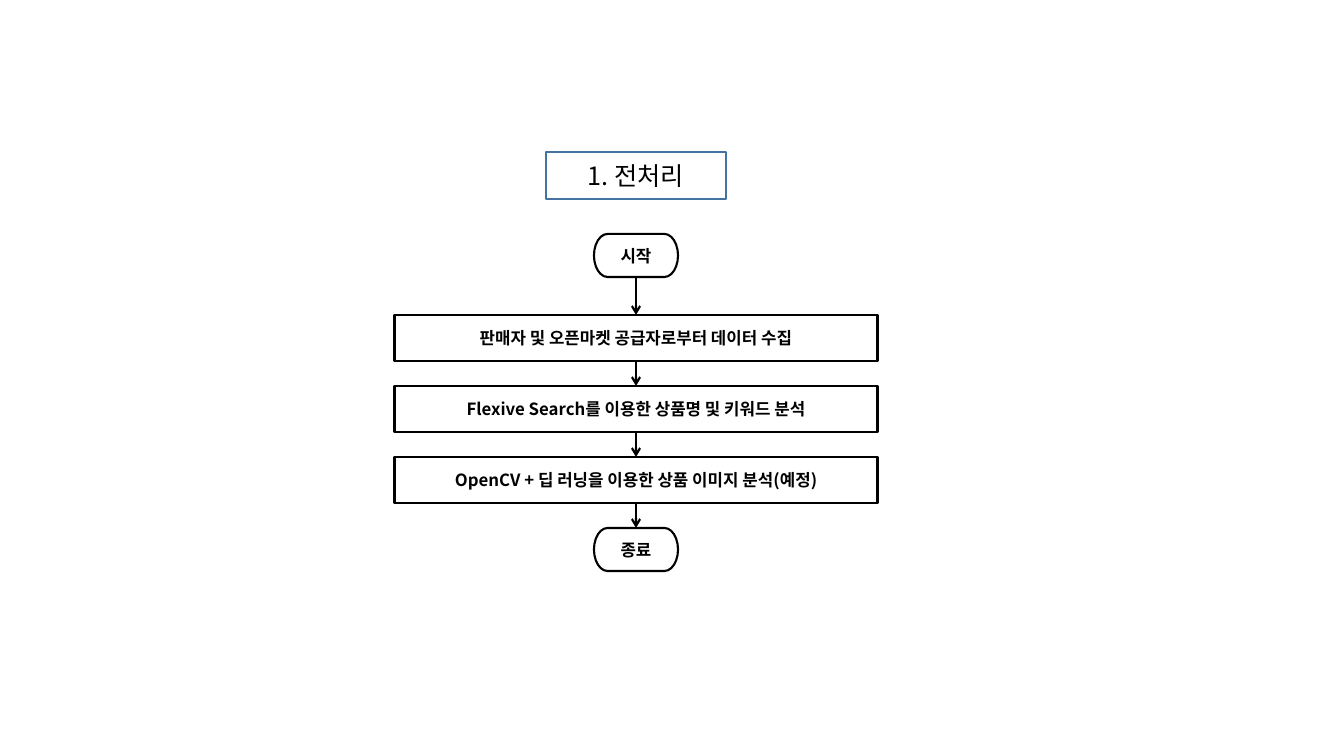
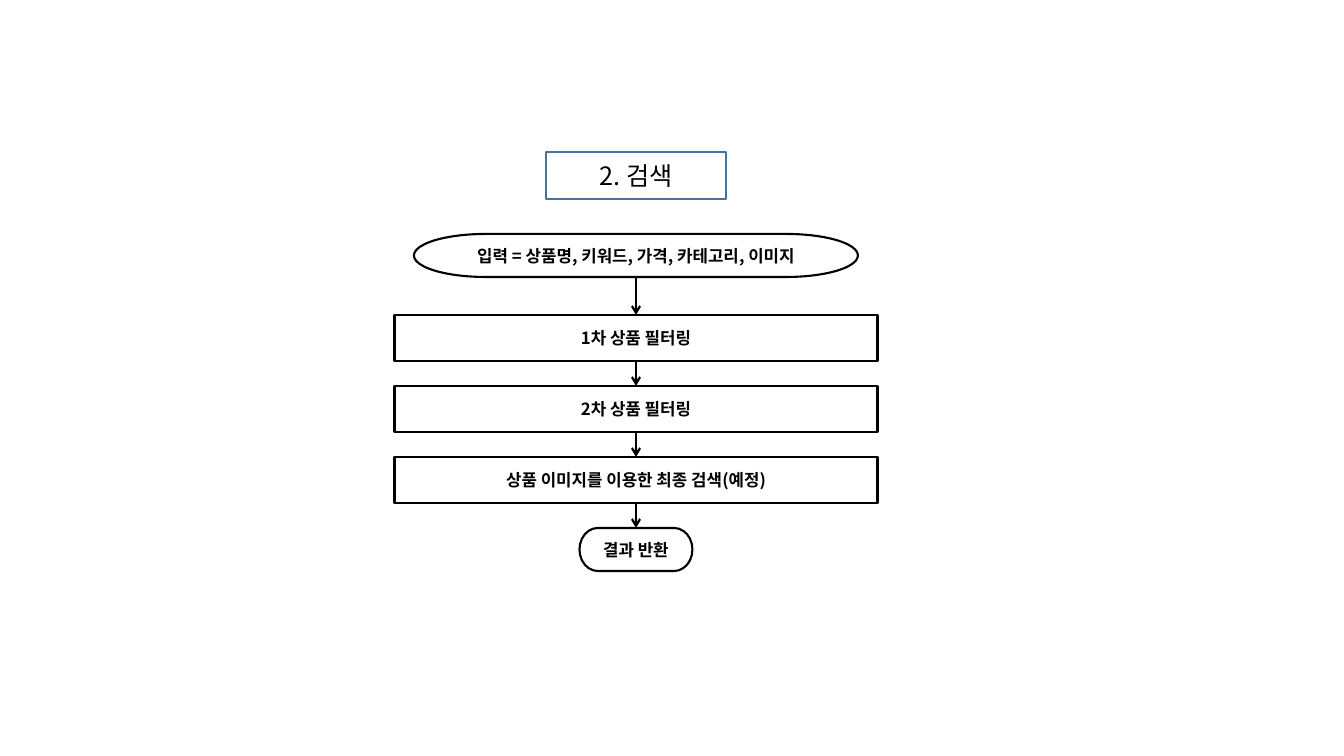
from itertools import pairwise

from lxml.etree import SubElement
from pptx import Presentation
from pptx.dml.color import RGBColor
from pptx.enum.shapes import MSO_CONNECTOR as Connector, MSO_SHAPE as Shape
from pptx.enum.text import MSO_ANCHOR as Anchor, MSO_AUTO_SIZE as AutoSize, PP_ALIGN as Align
from pptx.oxml.ns import qn
from pptx.util import Pt

EMU_PER_PX = 914400 / 100.8
FONT = "Noto Sans CJK KR"
BLACK, WHITE, TITLE_BORDER = "000000", "FFFFFF", "43739E"
CENTER_X = 636
TITLE_TOP, TITLE_WIDTH, TITLE_HEIGHT = 152, 180, 47
START_TOP, TERMINAL_HEIGHT = 234, 43
STEP_TOP, STEP_PITCH, STEP_WIDTH, STEP_HEIGHT = 315, 71, 483, 46

# Title, start (text, width), steps, end (text, width)
FLOWS = [
    ("1. 전처리", ("시작", 84),
     ["판매자 및 오픈마켓 공급자로부터 데이터 수집",
      "Flexive Search를 이용한 상품명 및 키워드 분석",
      "OpenCV + 딥 러닝을 이용한 상품 이미지 분석(예정)"],
     ("종료", 84)),
    ("2. 검색", ("입력 = 상품명, 키워드, 가격, 카테고리, 이미지", 444),
     ["1차 상품 필터링", "2차 상품 필터링", "상품 이미지를 이용한 최종 검색(예정)"],
     ("결과 반환", 113)),
]


def px(value):
    return round(value * EMU_PER_PX)


def color(hex_text):
    return RGBColor.from_string(hex_text)


def centered(top, width, height):
    """Left, top, width and height of a box on the flow's axis."""
    return px(CENTER_X - width / 2), px(top), px(width), px(height)


def set_line(shape, line_color, width):
    shape.line.color.rgb = color(line_color)
    shape.line.width = Pt(width)


def write_text(shape, text, size, bold, wrap):
    frame = shape.text_frame
    frame.auto_size = AutoSize.NONE
    frame.word_wrap = wrap
    frame.vertical_anchor = Anchor.MIDDLE
    paragraph = frame.paragraphs[0]
    paragraph.alignment = Align.CENTER
    run = paragraph.add_run()
    run.text = text
    run.font.size = Pt(size)
    run.font.bold = bold
    run.font.name = FONT
    run.font.color.rgb = color(BLACK)
    SubElement(run.font._element, qn("a:ea"), typeface=FONT)


def place_title(slide, text):
    title = slide.shapes.title
    title.left, title.top, title.width, title.height = centered(
        TITLE_TOP, TITLE_WIDTH, TITLE_HEIGHT)
    title.fill.solid()
    title.fill.fore_color.rgb = color(WHITE)
    set_line(title, TITLE_BORDER, 1)
    write_text(title, text, 18, bold=False, wrap=True)


def add_node(slide, kind, text, top, width, height):
    node = slide.shapes.add_shape(kind, *centered(top, width, height))
    node.shadow.inherit = False
    node.fill.background()
    set_line(node, BLACK, 1.5)
    write_text(node, text, 12, bold=True, wrap=False)
    return node


def add_arrow(slide, upper, lower):
    """Arrow from the bottom of one node to the top of the next."""
    arrow = slide.shapes.add_connector(Connector.STRAIGHT, 0, 0, 0, 0)
    arrow.begin_connect(upper, 2)
    arrow.end_connect(lower, 0)
    set_line(arrow, BLACK, 1.5)
    SubElement(arrow.line._get_or_add_ln(), qn("a:tailEnd"), type="arrow")
    SubElement(arrow._element.spPr, qn("a:effectLst"))


def add_flow(slide, start, steps, end):
    def add_terminal(label, top):
        text, width = label
        return add_node(slide, Shape.FLOWCHART_TERMINATOR, text, top, width, TERMINAL_HEIGHT)

    nodes = [add_terminal(start, START_TOP)]
    for index, text in enumerate(steps):
        nodes.append(add_node(slide, Shape.FLOWCHART_PROCESS, text,
                              STEP_TOP + index * STEP_PITCH, STEP_WIDTH, STEP_HEIGHT))
    nodes.append(add_terminal(end, STEP_TOP + len(steps) * STEP_PITCH))
    for upper, lower in pairwise(nodes):
        add_arrow(slide, upper, lower)


def main():
    presentation = Presentation()
    presentation.slide_width, presentation.slide_height = px(1344), px(756)
    title_only = presentation.slide_layouts[5]
    for title, start, steps, end in FLOWS:
        slide = presentation.slides.add_slide(title_only)
        place_title(slide, title)
        add_flow(slide, start, steps, end)
    presentation.save("out.pptx")


if __name__ == "__main__":
    main()
